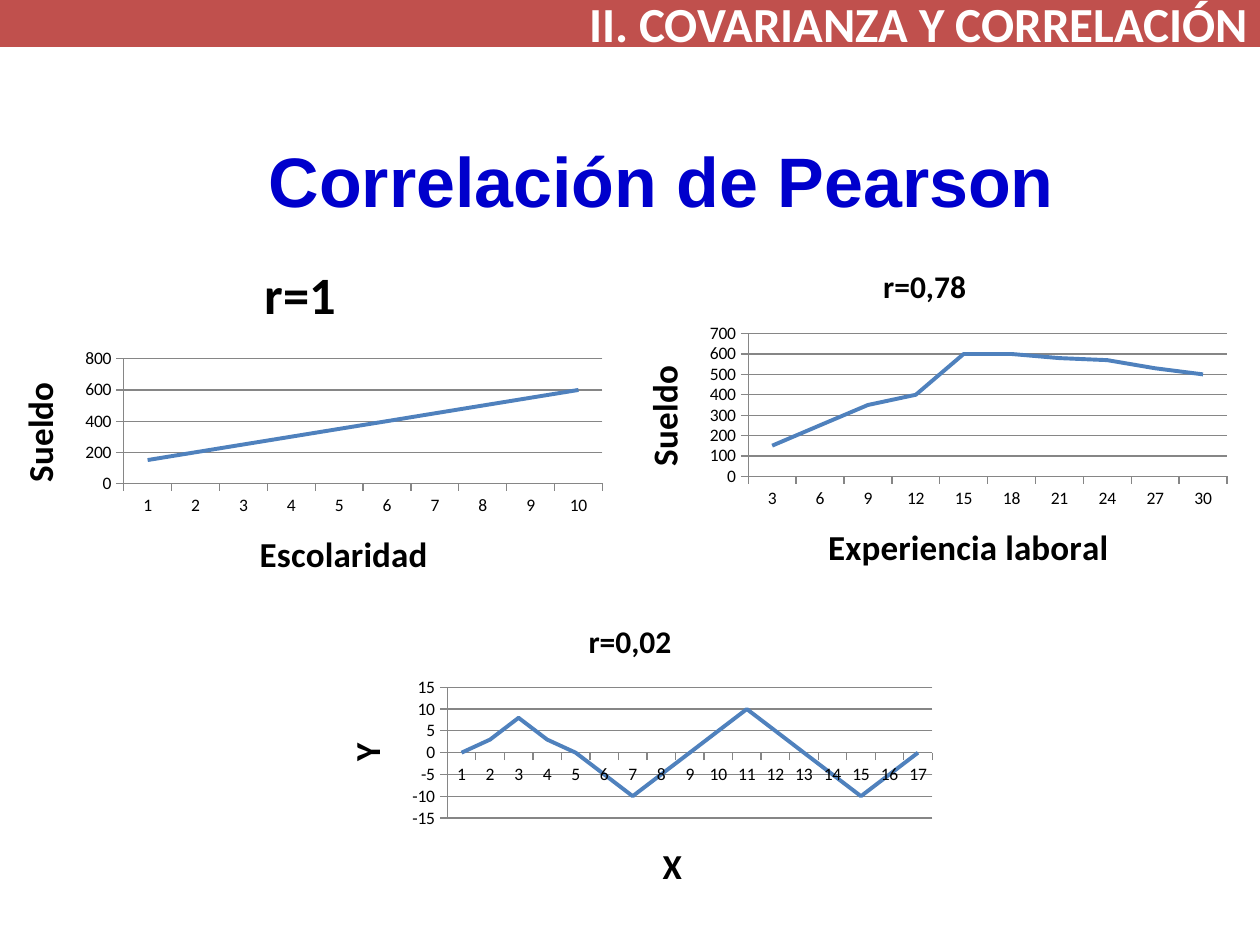
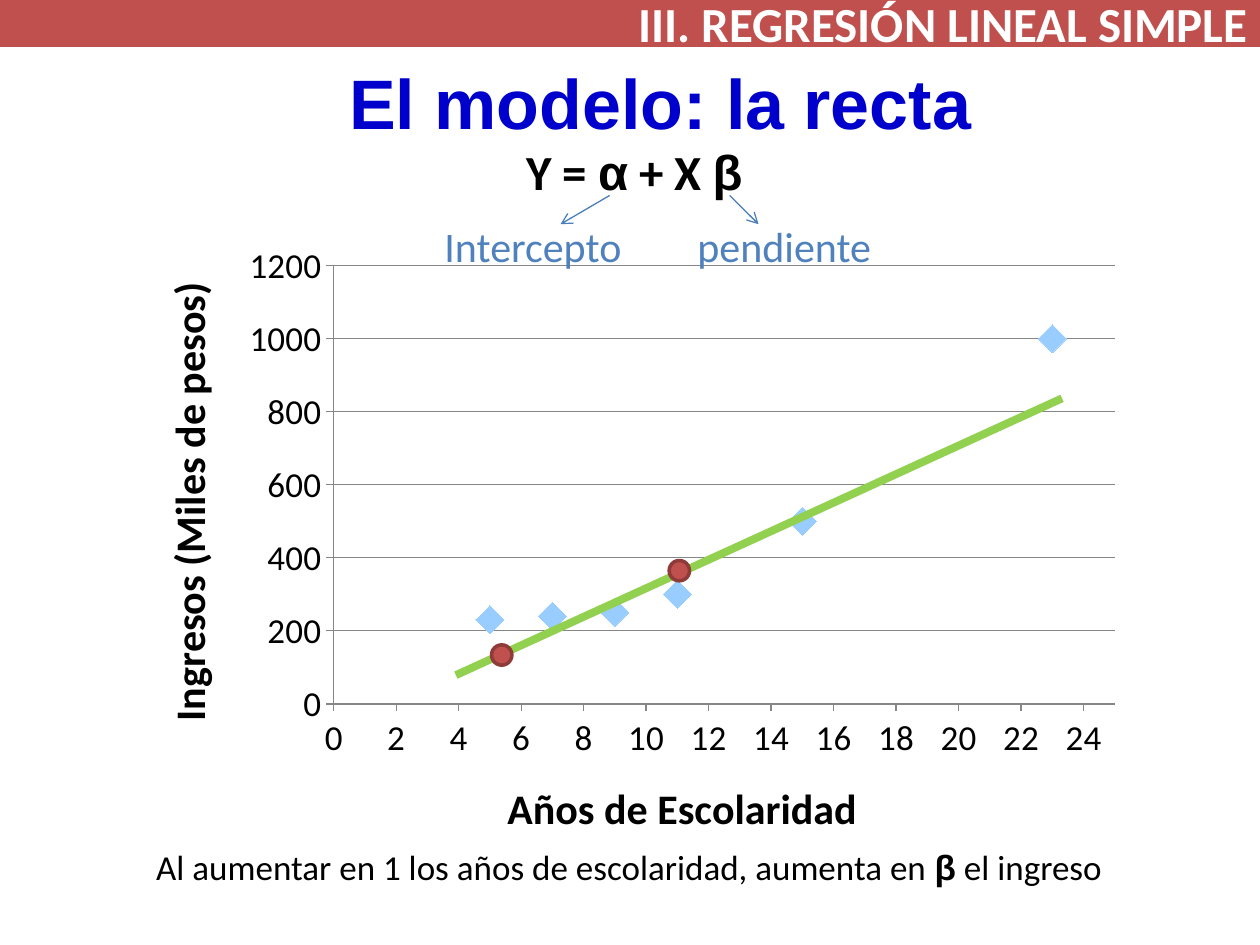
from dataclasses import dataclass

from lxml import etree
from pptx import Presentation
from pptx.chart.data import CategoryChartData, XyChartData
from pptx.dml.color import RGBColor
from pptx.enum.chart import XL_CHART_TYPE as ChartType
from pptx.enum.chart import XL_MARKER_STYLE as Marker
from pptx.enum.chart import XL_TICK_MARK as Tick
from pptx.enum.shapes import MSO_CONNECTOR as Connector
from pptx.enum.shapes import MSO_SHAPE as Shape
from pptx.enum.text import MSO_ANCHOR as Anchor
from pptx.enum.text import PP_ALIGN as Align
from pptx.oxml import parse_xml
from pptx.oxml.ns import nsdecls, qn
from pptx.util import Cm, Pt


@dataclass(frozen=True)
class Theme:
    # Colours
    band: str = "C0504D"
    title: str = "0000CC"
    text: str = "000000"
    white: str = "FFFFFF"
    blue: str = "4F81BD"
    arrow: str = "4B7EBC"
    grid: str = "868686"
    diamond: str = "99CCFF"
    fit: str = "92D050"
    dot_edge: str = "8E3B39"
    # Fonts and sizes in points
    body_font: str = "Calibri"
    title_font: str = "Arial"
    title_size: int = 40
    band_size: int = 28
    label_size: int = 24
    note_size: int = 20
    tick_size: int = 10


THEME = Theme()
WIDTH, HEIGHT = 25.4, 19.05


def set_font(font, color=THEME.text, **values):
    """Apply a dict of font values; sizes are in points."""
    values = {"name": THEME.body_font, "bold": False, **values}
    values["size"] = Pt(values["size"])
    for key, value in values.items():
        setattr(font, key, value)
    font.color.rgb = RGBColor.from_string(color)


def set_line(line, color, width):
    line.color.rgb = RGBColor.from_string(color)
    line.width = Pt(width)


class Deck:
    """Holds the style and the current slide."""

    def __init__(self, theme):
        self.theme = theme
        self.presentation = Presentation()
        self.presentation.slide_width = Cm(WIDTH)
        self.presentation.slide_height = Cm(HEIGHT)
        self.slide = None

    def new_slide(self):
        layout = self.presentation.slide_layouts[6]
        self.slide = self.presentation.slides.add_slide(layout)

    def fill_text(self, shape, runs, align=Align.LEFT, anchor=Anchor.TOP, tab=None):
        """Fill a shape with one paragraph of (text, font values) runs."""
        frame = shape.text_frame
        frame.word_wrap = True
        frame.vertical_anchor = anchor
        paragraph = frame.paragraphs[0]
        paragraph.alignment = align
        if tab:
            stops = etree.SubElement(paragraph._p.get_or_add_pPr(), qn("a:tabLst"))
            etree.SubElement(stops, qn("a:tab"), pos=str(Cm(tab)), algn="l")
        for text, values in runs:
            run = paragraph.add_run()
            run.text = text
            set_font(run.font, **values)

    def text(self, box, runs, **options):
        shape = self.slide.shapes.add_textbox(*map(Cm, box))
        self.fill_text(shape, runs, **options)

    def title(self, text, left, top):
        values = {"name": self.theme.title_font, "size": self.theme.title_size,
                  "color": self.theme.title, "bold": True}
        self.text((left, top, 22.86, 3.78), [(text, values)],
                  align=Align.CENTER, anchor=Anchor.MIDDLE)

    def shape(self, kind, box, fill, edge):
        shape = self.slide.shapes.add_shape(kind, *map(Cm, box))
        shape.shadow.inherit = False
        shape.fill.solid()
        shape.fill.fore_color.rgb = RGBColor.from_string(fill)
        set_line(shape.line, edge, 2)
        return shape

    def band(self, text):
        color = self.theme.band
        shape = self.shape(Shape.RECTANGLE, (0, 0, WIDTH, 0.91), color, color)
        values = {"size": self.theme.band_size, "color": self.theme.white, "bold": True}
        self.fill_text(shape, [(text, values)], align=Align.RIGHT, anchor=Anchor.MIDDLE)

    def dot(self, left, top):
        self.shape(Shape.OVAL, (left, top, 0.41, 0.41),
                   self.theme.band, self.theme.dot_edge)

    def line(self, start, end, color, width, arrow=False):
        line = self.slide.shapes.add_connector(
            Connector.STRAIGHT, *map(Cm, (*start, *end)))
        set_line(line.line, color, width)
        if arrow:
            etree.SubElement(line.line._get_or_add_ln(), qn("a:tailEnd"), type="arrow")
        etree.SubElement(line._element.spPr, qn("a:effectLst"))

    def chart(self, kind, box, data, plot, title=None):
        """Add a chart; plot is the inner plot area in fractions of the box."""
        chart = self.slide.shapes.add_chart(kind, *map(Cm, box), data).chart
        set_font(chart.font, size=self.theme.tick_size)
        chart.has_legend = False
        chart.has_title = title is not None
        if title:
            text, size = title
            self.caption(chart.chart_title.text_frame, text, size)
        chart.plots[0].vary_by_categories = False
        chart.series[0].smooth = False
        self.place_plot(chart, plot)
        return chart

    def caption(self, frame, text, size):
        frame.text = text
        set_font(frame.paragraphs[0].runs[0].font, size=size, bold=True)

    def place_plot(self, chart, plot):
        area = chart._chartSpace.find(".//" + qn("c:plotArea"))
        for layout in area.findall(qn("c:layout")):
            area.remove(layout)
        parts = "".join(f'<c:{key} val="{value}"/>' for key, value in zip("xywh", plot))
        area.insert(0, parse_xml(
            f'<c:layout {nsdecls("c")}><c:manualLayout><c:layoutTarget val="inner"/>'
            f'<c:xMode val="edge"/><c:yMode val="edge"/>{parts}'
            "</c:manualLayout></c:layout>"))

    def axis(self, axis, title, title_size, tick_size, scale=None, upright=False):
        """Style an axis; scale is (minimum, maximum, major unit)."""
        frame = axis.axis_title.text_frame
        self.caption(frame, title, title_size)
        if upright:
            frame._txBody.bodyPr.set("rot", "-5400000")
            frame._txBody.bodyPr.set("vert", "horz")
        values = {"has_major_gridlines": upright, "major_tick_mark": Tick.OUTSIDE,
                  "minor_tick_mark": Tick.NONE}
        if scale:
            values.update(zip(("minimum_scale", "maximum_scale", "major_unit"), scale))
        for key, value in values.items():
            setattr(axis, key, value)
        set_font(axis.tick_labels.font, size=tick_size)
        set_line(axis.format.line, self.theme.grid, 0.75)
        if upright:
            set_line(axis.major_gridlines.format.line, self.theme.grid, 0.75)

    def line_chart(self, box, plot, title, names, scale, categories, values):
        data = CategoryChartData()
        data.categories = [str(category) for category in categories]
        data.add_series("Series 1", values)
        chart = self.chart(ChartType.LINE, box, data, plot, title)
        set_line(chart.series[0].format.line, self.theme.blue, 2.25)
        sizes = 20, self.theme.tick_size
        self.axis(chart.category_axis, names[0], *sizes)
        self.axis(chart.value_axis, names[1], *sizes, scale, upright=True)

    def scatter_chart(self, box, plot, names, scales, points):
        data = XyChartData()
        series = data.add_series("Series 1")
        for x, y in points:
            series.add_data_point(x, y)
        chart = self.chart(ChartType.XY_SCATTER, box, data, plot)
        series = chart.series[0]
        series.format.line.fill.background()
        marker = series.marker
        marker.style, marker.size = Marker.DIAMOND, 16
        marker.format.fill.solid()
        marker.format.fill.fore_color.rgb = RGBColor.from_string(self.theme.diamond)
        marker.format.line.fill.background()
        sizes = self.theme.label_size, self.theme.note_size
        self.axis(chart.category_axis, names[0], *sizes, scales[0])
        self.axis(chart.value_axis, names[1], *sizes, scales[1], upright=True)


def build_correlation(deck):
    deck.new_slide()
    deck.title("Correlación de Pearson", 1.9, 1.73)
    deck.band("II. COVARIANZA Y CORRELACIÓN")
    # Three strengths of correlation
    deck.line_chart((-0.3, 4.72, 12.7, 7.62), (0.22, 0.33, 0.76, 0.33),
                    ("r=1", 30), ("Escolaridad", "Sueldo"), (0, 800, 200),
                    range(1, 11), range(150, 601, 50))
    deck.line_chart((12.29, 4.93, 12.7, 7.19), (0.22, 0.25, 0.76, 0.4),
                    ("r=0,78", 18), ("Experiencia laboral", "Sueldo"), (0, 700, 100),
                    range(3, 31, 3),
                    (150, 250, 350, 400, 600, 600, 580, 570, 530, 500))
    deck.line_chart((6.35, 12.12, 12.7, 6.43), (0.21, 0.27, 0.77, 0.41),
                    ("r=0,02", 18), ("X", "Y"), (-15, 15, 5), range(1, 18),
                    (0, 3, 8, 3, 0, -5, -10, -5, 0, 5, 10, 5, 0, -5, -10, -5, 0))


def build_regression(deck):
    theme = deck.theme
    deck.new_slide()
    # Scatter with its fitted line
    deck.scatter_chart((2.69, 4.72, 20.19, 12.8), (0.2, 0.05, 0.78, 0.69),
                       ("Años de Escolaridad", "Ingresos (Miles de pesos)"),
                       ((0, 25, 2), (0, 1200, 200)),
                       ((5, 230), (7, 240), (9, 250), (11, 300), (15, 500), (23, 1000)))
    deck.line((9.19, 13.61), (21.41, 8.03), theme.fit, 4.5)
    deck.dot(13.49, 11.3)
    deck.dot(9.91, 13)
    # Reading of the slope
    note = {"size": theme.note_size}
    greek = {"name": theme.title_font, "bold": True}
    deck.text((2.9, 16.92, 21.21, 1.12),
              [("Al aumentar en 1 los años de escolaridad, aumenta en ", note),
               ("β", {**note, **greek}), (" el ingreso", note)])
    # Equation and the names of its terms
    term = {"size": theme.band_size, "bold": True}
    deck.text((5.69, 2.72, 14.2, 5.05),
              [("Y = ", term), ("α", {**term, **greek}),
               (" + X ", term), ("β", {**term, **greek})], align=Align.CENTER)
    deck.text((8.71, 4.32, 12.8, 1.27),
              [("Intercepto\tpendiente", {"size": theme.label_size, "color": theme.blue})],
              tab=5.1)
    for start, end in ((12.29, 11.3), (14.71, 15.29)):
        deck.line((start, 3.94), (end, 4.52), theme.arrow, 0.75, arrow=True)
    deck.band("III. REGRESIÓN LINEAL SIMPLE")
    deck.title("El modelo: la recta", 1.88, 0.15)


def main():
    deck = Deck(THEME)
    build_correlation(deck)
    build_regression(deck)
    deck.presentation.save("out.pptx")


if __name__ == "__main__":
    main()
